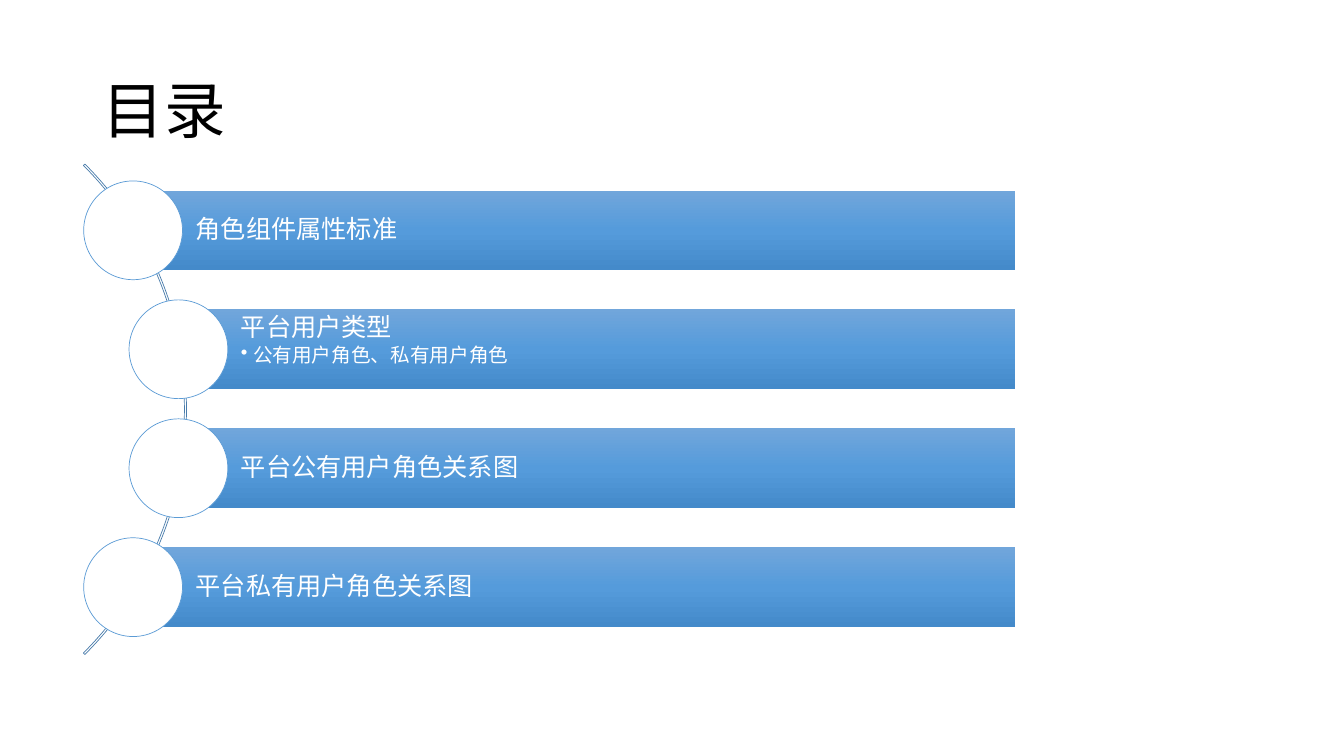
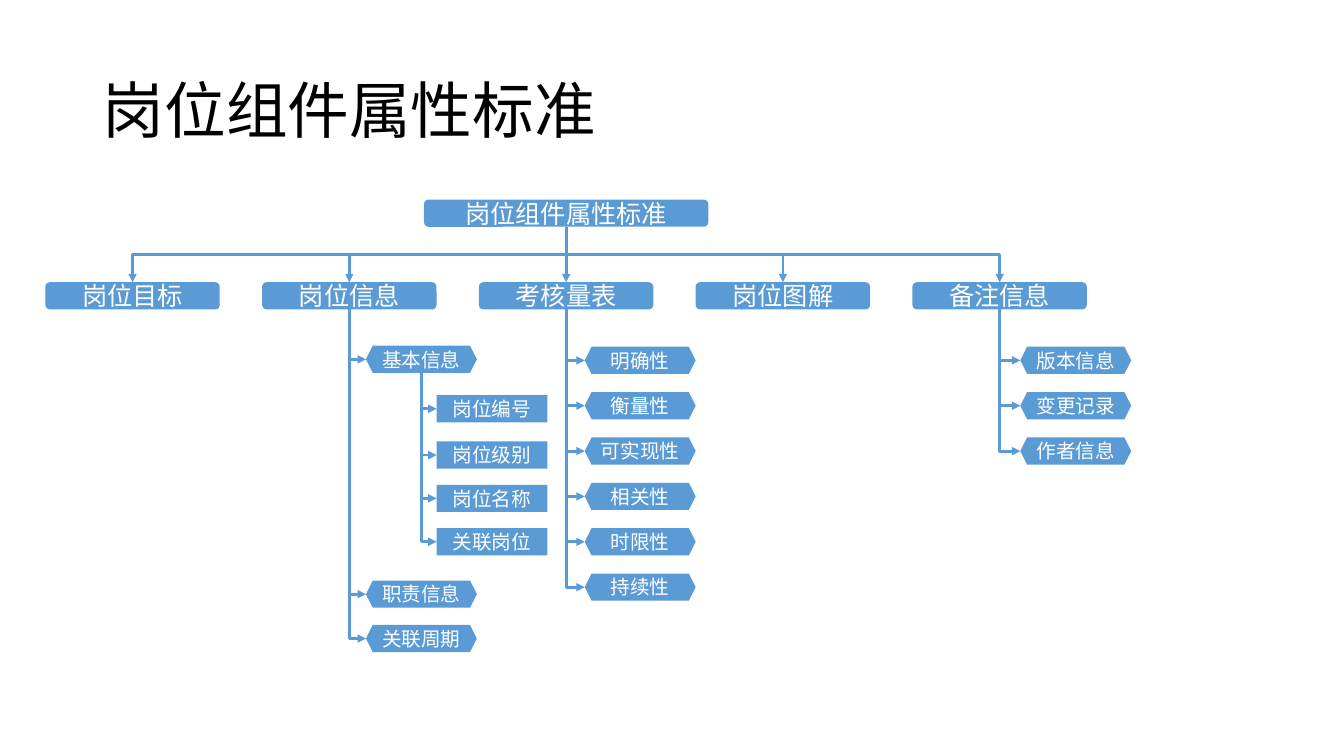
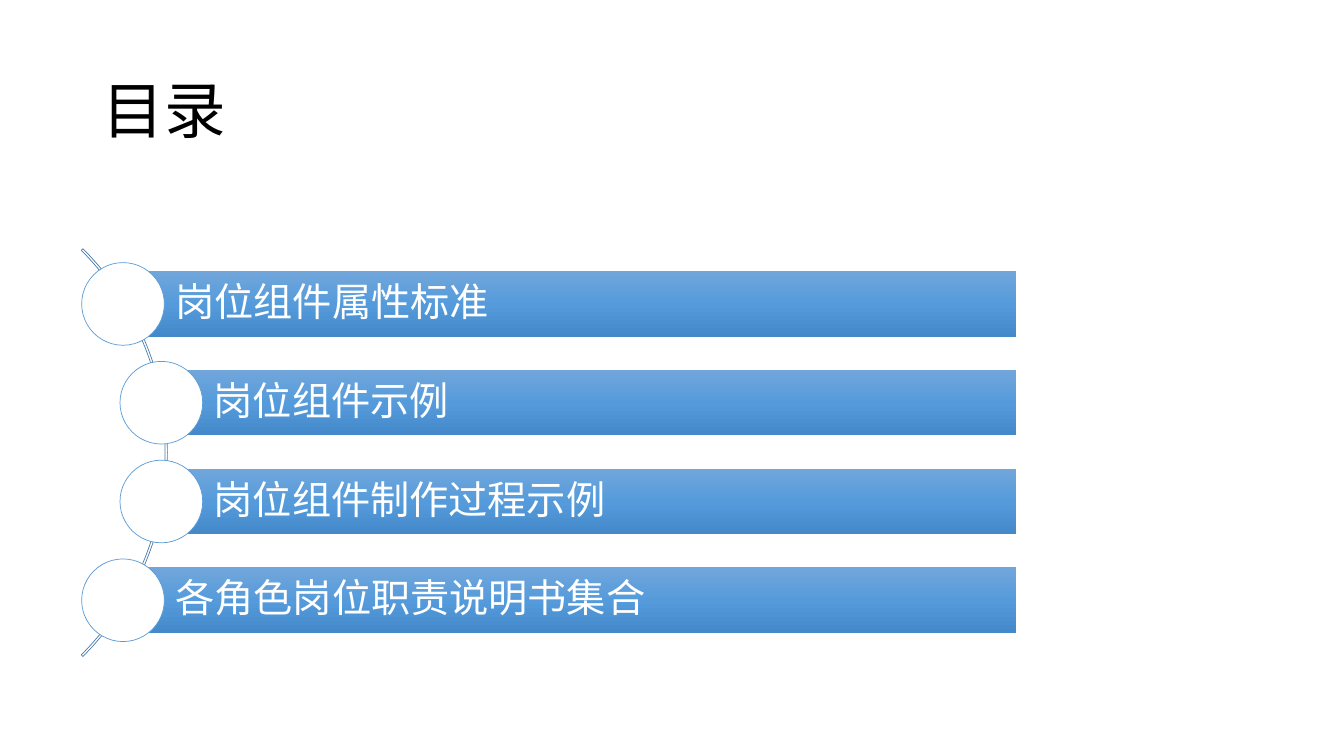
from copy import deepcopy

from lxml.etree import SubElement
from pptx import Presentation
from pptx.dml.color import RGBColor
from pptx.enum.shapes import MSO_CONNECTOR, MSO_SHAPE
from pptx.enum.text import MSO_ANCHOR, MSO_AUTO_SIZE, PP_ALIGN
from pptx.oxml.ns import qn
from pptx.util import Inches, Pt

FACE = "Noto Sans CJK SC"
BLACK = RGBColor(0x00, 0x00, 0x00)
WHITE = RGBColor(0xFF, 0xFF, 0xFF)
BLUE = RGBColor(0x5B, 0x9B, 0xD5)
STEEL = RGBColor(0x49, 0x7C, 0xAB)
SHADES = (
    (0, RGBColor(0x71, 0xA6, 0xDB)),
    (0.5, RGBColor(0x55, 0x9B, 0xDB)),
    (1, RGBColor(0x44, 0x8A, 0xCA)),
)

TITLE = {"word_wrap": True, "auto_size": MSO_AUTO_SIZE.NONE,
         "vertical_anchor": MSO_ANCHOR.MIDDLE}
LABEL = {"word_wrap": True, "vertical_anchor": MSO_ANCHOR.MIDDLE,
         "margin_left": 0, "margin_right": 0, "margin_top": 0, "margin_bottom": 0}
LEFT = {"alignment": PP_ALIGN.LEFT, "line_spacing": 0.9}
MID = {"alignment": PP_ALIGN.CENTER}

NODE = 0.27
WIDE = 1.73
SLIM = 1.1


def apply(item, form):
    for name, value in form.items():
        setattr(item, name, value)


class Deck:
    def __init__(self):
        self.show = Presentation()
        self.show.slide_width = Inches(13.33)
        self.show.slide_height = Inches(7.5)
        self.slide = None

    def page(self, text):
        self.slide = self.show.slides.add_slide(self.show.slide_layouts[5])
        title = self.slide.shapes.title
        apply(title, {"left": Inches(0.92), "top": Inches(0.4),
                      "width": Inches(11.5), "height": Inches(1.45)})
        apply(title.text_frame, TITLE)
        self.label(title.text_frame.paragraphs[0], text, 44, LEFT, BLACK)

    def label(self, para, text, size, form, color=WHITE):
        apply(para, form)
        run = para.add_run()
        run.text = text
        apply(run.font, {"name": FACE, "size": Pt(size)})
        run.font.color.rgb = color
        SubElement(run.font._element, qn("a:ea"), typeface=FACE)

    def shape(self, kind, x, y, wide, tall, fill=None, line=None):
        shape = self.slide.shapes.add_shape(
            kind, Inches(x), Inches(y), Inches(wide), Inches(tall))
        shape.shadow.inherit = False
        if fill is None:
            shape.fill.background()
        else:
            shape.fill.solid()
            shape.fill.fore_color.rgb = fill
        if line is None:
            shape.line.fill.background()
        else:
            shape.line.color.rgb = line
            shape.line.width = Pt(0.5)
        return shape

    def node(self, kind, x, y, wide, text, size):
        shape = self.shape(kind, x, y, wide, NODE, BLUE)
        apply(shape.text_frame, LABEL)
        self.label(shape.text_frame.paragraphs[0], text, size, MID)
        return shape

    def arrow(self, kind, x1, y1, x2, y2):
        link = self.slide.shapes.add_connector(
            kind, Inches(x1), Inches(y1), Inches(x2), Inches(y2))
        link.line.color.rgb = BLUE
        link.line.width = Pt(2)
        SubElement(link.line._get_or_add_ln(), qn("a:tailEnd"), type="triangle")
        SubElement(link._element.spPr, qn("a:effectLst"))
        return link

    def elbow(self, x1, y1, x2, y2, bend):
        link = self.arrow(MSO_CONNECTOR.ELBOW, x1, y1, x2, y2)
        wide, tall = y2 - y1, abs(x2 - x1)
        apply(link, {"left": Inches((x1 + x2 - wide) / 2),
                     "top": Inches((y1 + y2 - tall) / 2),
                     "width": Inches(wide), "height": Inches(tall)})
        frame = link._element.spPr.find(qn("a:xfrm"))
        frame.attrib.pop("flipH", None)
        if x2 < x1:
            frame.set("rot", "5400000")
        else:
            frame.set("rot", "16200000")
            frame.set("flipH", "1")
        link._element.spPr.find(qn("a:prstGeom")).set("prst", bend)

    def branch(self, kind, stem, top, x, rows):
        for y, text in rows:
            self.node(kind, x, y, SLIM, text, 14)
            self.elbow(stem, top, x, y + NODE / 2, "bentConnector2")

    def bar(self, x, y, wide, tall, side, pad, size, lines):
        bar = self.shape(MSO_SHAPE.RECTANGLE, x, y, wide, tall, BLUE)
        bar.fill.gradient()
        bar.fill.gradient_angle = 270
        stops = bar._element.spPr.find(".//" + qn("a:gsLst"))
        stops.insert(1, deepcopy(stops[0]))
        for stop, (place, color) in zip(bar.fill.gradient_stops, SHADES):
            stop.position = place
            stop.color.rgb = color
        frame = bar.text_frame
        apply(frame, LABEL)
        apply(frame, {"margin_left": Inches(side), "margin_right": Inches(pad),
                      "margin_top": Inches(pad), "margin_bottom": Inches(pad)})
        head, *subs = lines
        self.label(frame.paragraphs[0], head, size, LEFT)
        if subs:
            frame.vertical_anchor = MSO_ANCHOR.TOP
            frame.paragraphs[0].space_after = Pt(3)
        for text in subs:
            para = frame.add_paragraph()
            form = para._p.get_or_add_pPr()
            form.set("marL", str(Inches(0.12)))
            form.set("indent", str(-Inches(0.12)))
            SubElement(form, qn("a:buChar"), char="•")
            self.label(para, text, 14, {**LEFT, "level": 1})

    def agenda(self, items, arc, x, y, shift, pitch, dot, tall, right, side, pad, size):
        left, top, span, thick = arc
        curve = self.shape(MSO_SHAPE.BLOCK_ARC, left, top, span, span, line=STEEL)
        for index, value in enumerate((189, 27, thick)):
            curve.adjustments[index] = value
        for index, lines in enumerate(items):
            edge = x + shift * (index in (1, 2))
            row = y + index * pitch
            start = edge + dot / 2
            self.bar(start, row, right - start, tall, side, pad, size, lines)
            self.shape(MSO_SHAPE.OVAL, edge, row - (dot - tall) / 2,
                       dot, dot, WHITE, BLUE)


def roles(deck):
    deck.page("目录")
    items = (
        ("角色组件属性标准",),
        ("平台用户类型", "公有用户角色、私有用户角色"),
        ("平台公有用户角色关系图",),
        ("平台私有用户角色关系图",),
    )
    deck.agenda(items, arc=(-5.03, 0.62, 6.88, 0.003), x=0.83, y=1.89,
                shift=0.45, pitch=1.18, dot=0.98, tall=0.79, right=10.07,
                side=0.62, pad=0.05, size=18)


def tree(deck):
    deck.page("岗位组件属性标准")
    box, hexa, rect = MSO_SHAPE.ROUNDED_RECTANGLE, MSO_SHAPE.HEXAGON, MSO_SHAPE.RECTANGLE
    top, row = 1.98, 2.8
    base, foot = top + NODE, row + NODE
    heads = ("岗位目标", "岗位信息", "考核量表", "岗位图解", "备注信息")
    mids = [0.45 + 2.15 * index + WIDE / 2 for index in range(len(heads))]
    hub = mids[2]
    root = deck.node(box, hub - 1.41, top, 2.82, "岗位组件属性标准", 18)
    for mid, text in zip(mids, heads):
        head = deck.node(box, mid - WIDE / 2, row, WIDE, text, 18)
        if mid == hub:
            link = deck.arrow(MSO_CONNECTOR.STRAIGHT, hub, base, hub, row)
            link.begin_connect(root, 2)
            link.end_connect(head, 0)
        else:
            deck.elbow(hub, base, mid, row, "bentConnector3")

    first = 3.43
    deck.branch(hexa, mids[1], foot, 3.63, (
        (first, "基本信息"), (5.76, "职责信息"), (6.2, "关联周期")))
    deck.branch(rect, 3.63 + SLIM / 2, first + NODE, 4.33, (
        (3.92, "岗位编号"), (4.38, "岗位级别"), (4.81, "岗位名称"), (5.24, "关联岗位")))
    traits = ("明确性", "衡量性", "可实现性", "相关性", "时限性", "持续性")
    notes = ("版本信息", "变更记录", "作者信息")
    for stem, x, texts in ((hub, 5.8, traits), (mids[4], 10.12, notes)):
        rows = [(3.44 + 0.45 * index, text) for index, text in enumerate(texts)]
        deck.branch(hexa, stem, foot, x, rows)


def posts(deck):
    deck.page("目录")
    items = (
        ("岗位组件属性标准",),
        ("岗位组件示例",),
        ("岗位组件制作过程示例",),
        ("各角色岗位职责说明书集合",),
    )
    deck.agenda(items, arc=(-4.06, 1.63, 5.72, 0.004), x=0.81, y=2.69,
                shift=0.38, pitch=0.98, dot=0.82, tall=0.65, right=10.08,
                side=0.52, pad=0.08, size=28)


def main():
    deck = Deck()
    roles(deck)
    tree(deck)
    posts(deck)
    deck.show.save("out.pptx")


if __name__ == "__main__":
    main()
